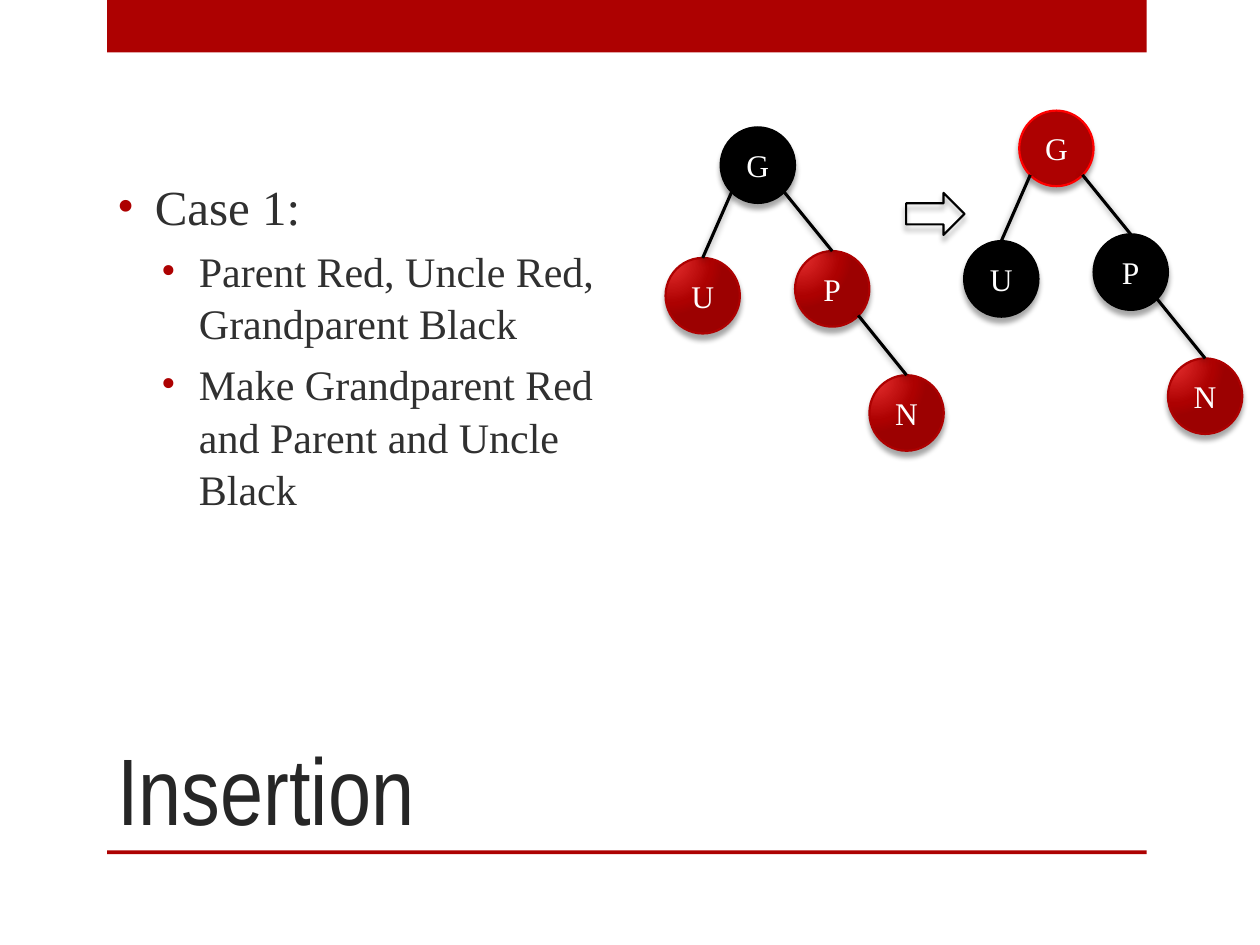
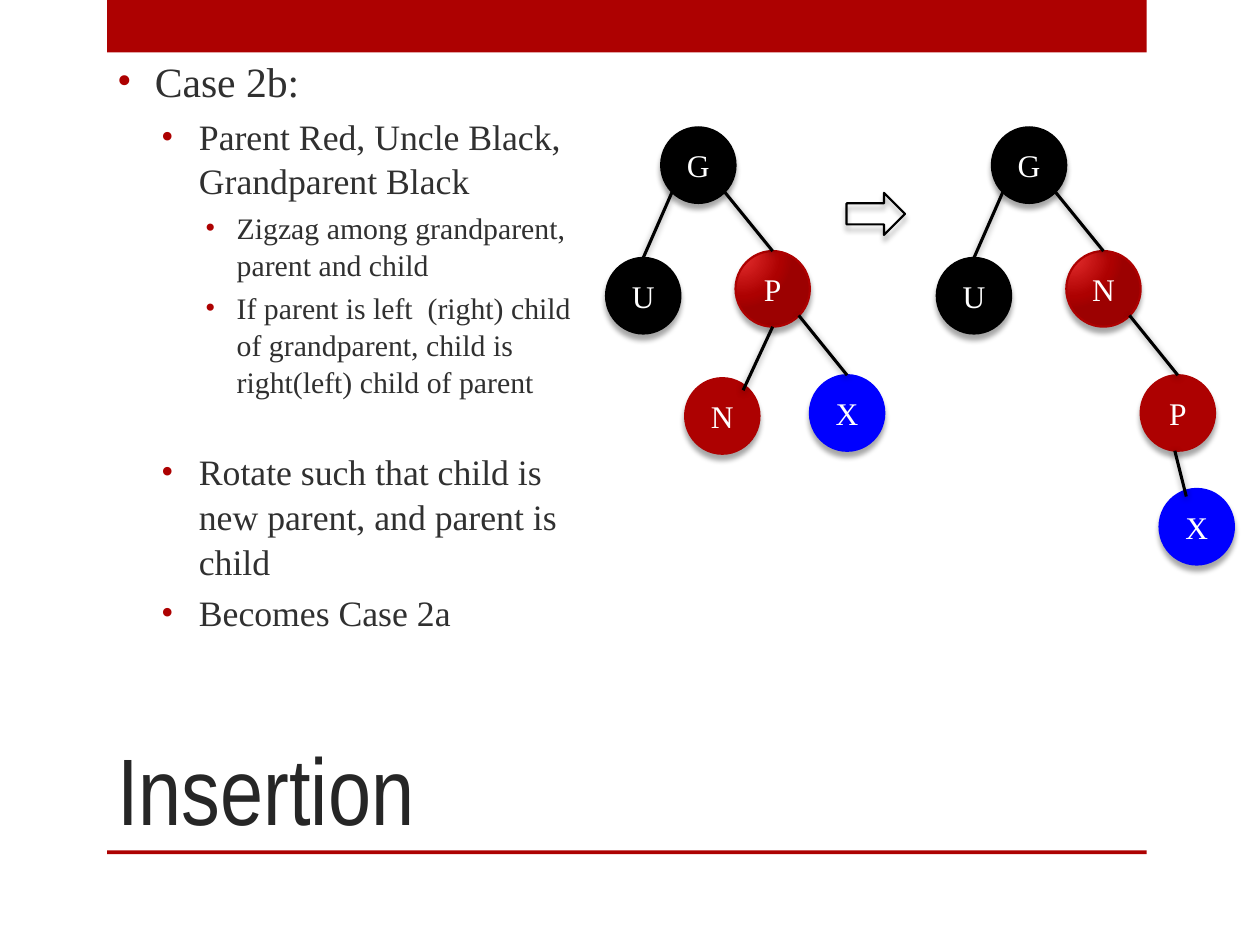
"""Build two slides on red-black tree insertion cases."""
from dataclasses import dataclass

from lxml import etree
from pptx import Presentation
from pptx import util as u
from pptx.dml.color import RGBColor
from pptx.enum import shapes, text
from pptx.oxml import ns


@dataclass(frozen=True)
class Theme:
    red: str = "AD0101"
    bright: str = "FF0000"
    black: str = "000000"
    blue: str = "0000FF"
    white: str = "FFFFFF"
    title: str = "262626"
    body: str = "303030"
    gloss: tuple = ((0, "E62F2F"), (76, "AD0101"), (100, "9C0101"))
    head_font: str = "Arial Narrow"
    body_font: str = "Times New Roman"
    title_size: float = 54
    node_size: float = 18
    node_line: float = 1.25
    edge_line: float = 1.75
    spacing: float = 1.04


T = Theme()
FILLS = {"glossy": (None, T.red), "red": (T.red, T.red), "bright": (T.red, T.bright),
         "black": (T.black, T.black), "blue": (T.blue, T.blue)}

NODE_W, NODE_H = 42.5, 43.2
BANDS = [(61.2, 0, 594, 30), (61.2, 486, 594, 2.16)]
TITLE_BOX = (59.8, 360, 534, 126)
BODY_BOX = (59.8, 48.2, 288, 296.6)
ARROW = (106, 37.4, 33.4, 24)
INDENTS = [(21.6, -21.6), (46.8, -21.6), (68.4, -18)]
NODE_SHADOW, EDGE_SHADOW = (35, 3, 3, 90), (40, 4, 1, 88)

PLACES = {"root": (0, 0), "left": (-31.5, 74.6), "right": (42.5, 70.7),
          "outer": (85, 141.6), "inner": (13.7, 143.3), "deep": (95.8, 206.6)}
EDGES = [("root", (.15, .85), "left", (.5, 0)), ("root", (.85, .85), "right", (.5, 0)),
         ("right", (.85, .85), "outer", (.5, 0)), ("right", (.5, 1), "inner", (.78, .16)),
         ("outer", (.46, 1), "deep", (.36, .1))]

SLIDES = [
    {"title": "Insertion", "sizes": (28, 24),
     "points": [(0, "Case 1:"),
                (1, "Parent Red, Uncle Red, Grandparent Black"),
                (1, "Make Grandparent Red and Parent and Uncle Black")],
     "trees": [((411.8, 72.8), {"right": ("P", "glossy"), "left": ("U", "glossy"),
                                "outer": ("N", "glossy"), "root": ("G", "black")}),
               ((582.4, 63.2), {"right": ("P", "black"), "left": ("U", "black"),
                                "outer": ("N", "glossy"), "root": ("G", "bright")})]},
    {"title": "Insertion", "sizes": (23.8, 20.4, 17),
     "points": [(0, "Case 2b:"),
                (1, "Parent Red, Uncle Black, Grandparent Black"),
                (2, "Zigzag among grandparent, parent and child"),
                (2, "If parent is left  (right) child of grandparent, "
                    "child is right(left) child of parent"),
                (1, "Rotate such that child is new parent, and parent is child", 28),
                (1, "Becomes Case 2a")],
     "trees": [((377.8, 72.8), {"right": ("P", "glossy"), "left": ("U", "black"),
                                "outer": ("X", "blue"), "root": ("G", "black"),
                                "inner": ("N", "red")}),
               ((566.8, 72.8), {"right": ("N", "glossy"), "left": ("U", "black"),
                                "outer": ("P", "red"), "root": ("G", "black"),
                                "deep": ("X", "blue")})]},
]


def pts(*values):
    return [u.Pt(v) for v in values]


def rgb(color):
    return RGBColor.from_string(color)


def sub(parent, tag, **attrs):
    return etree.SubElement(parent, ns.qn(tag), {k: str(v) for k, v in attrs.items()})


def write(p, words, size, color, font=T.body_font, align=text.PP_ALIGN.LEFT):
    p.alignment = align
    r = p.add_run()
    r.text = words
    r.font.size, r.font.name = u.Pt(size), font
    r.font.color.rgb = rgb(color)


def set_frame(tf, anchor):
    tf.word_wrap, tf.auto_size = True, text.MSO_AUTO_SIZE.NONE
    tf.vertical_anchor = anchor


def add_shadow(sp, alpha, blur, dist, angle):
    props = sp._element.spPr
    effects = props.find(ns.qn("a:effectLst"))
    if effects is None:
        effects = sub(props, "a:effectLst")
    shadow = sub(effects, "a:outerShdw", blurRad=u.Pt(blur), dist=u.Pt(dist),
                 dir=angle * 60000, rotWithShape=0)
    sub(sub(shadow, "a:srgbClr", val=T.black), "a:alpha", val=alpha * 1000)


def gloss(sp):
    sp.fill.background()
    props = sp._element.spPr
    grad = etree.Element(ns.qn("a:gradFill"), rotWithShape="1")
    stops = sub(grad, "a:gsLst")
    for pos, color in T.gloss:
        sub(sub(stops, "a:gs", pos=pos * 1000), "a:srgbClr", val=color)
    sub(sub(grad, "a:path", path="circle"), "a:fillToRect",
        l=15000, t=15000, r=100000, b=100000)
    props.replace(props.find(ns.qn("a:noFill")), grad)


def add_shape(s, kind, box, fill=None, line=None):
    sp = s.shapes.add_shape(kind, *pts(*box))
    sp.shadow.inherit = False
    if fill:
        sp.fill.solid()
        sp.fill.fore_color.rgb = rgb(fill)
    else:
        sp.fill.background()
    if line:
        sp.line.color.rgb, sp.line.width = rgb(line), u.Pt(T.node_line)
        add_shadow(sp, *NODE_SHADOW)
    else:
        sp.line.fill.background()
    return sp


def add_node(s, x, y, label, style):
    fill, line = FILLS[style]
    sp = add_shape(s, shapes.MSO_SHAPE.OVAL, (x, y, NODE_W, NODE_H), fill, line)
    if style == "glossy":
        gloss(sp)
    tf = sp.text_frame
    set_frame(tf, text.MSO_ANCHOR.MIDDLE)
    tf.margin_left = tf.margin_right = 0
    write(tf.paragraphs[0], label, T.node_size, T.white, align=text.PP_ALIGN.CENTER)


def add_tree(s, origin, nodes):
    spots = {k: (origin[0] + dx, origin[1] + dy) for k, (dx, dy) in PLACES.items()}
    for place, (label, style) in nodes.items():
        add_node(s, *spots[place], label, style)
    for parent, start, child, end in EDGES:
        if child in nodes:
            ends = [c for place, (fx, fy) in ((parent, start), (child, end))
                    for c in (spots[place][0] + fx * NODE_W, spots[place][1] + fy * NODE_H)]
            edge = s.shapes.add_connector(shapes.MSO_CONNECTOR.STRAIGHT, *pts(*ends))
            edge.line.color.rgb, edge.line.width = rgb(T.black), u.Pt(T.edge_line)
            add_shadow(edge, *EDGE_SHADOW)


def add_points(s, points, sizes):
    tf = s.shapes.add_textbox(*pts(*BODY_BOX)).text_frame
    set_frame(tf, text.MSO_ANCHOR.MIDDLE)
    for i, (level, words, *gap) in enumerate(points):
        p = tf.add_paragraph() if i else tf.paragraphs[0]
        size = sizes[level]
        write(p, words, size, T.body)
        p.level, p.line_spacing = level, T.spacing
        p.space_before = u.Pt(gap[0] if gap else round(size * .2, 1))
        props = p._p.get_or_add_pPr()
        for name, value in zip(("marL", "indent"), INDENTS[level]):
            props.set(name, str(u.Pt(value)))
        sub(sub(props, "a:buClr"), "a:srgbClr", val=T.red)
        sub(props, "a:buFont", typeface=T.body_font)
        sub(props, "a:buChar", char="•")


def add_title(s, words):
    sp = s.shapes.title
    sp.left, sp.top, sp.width, sp.height = pts(*TITLE_BOX)
    set_frame(sp.text_frame, text.MSO_ANCHOR.BOTTOM)
    write(sp.text_frame.paragraphs[0], words, T.title_size, T.title, T.head_font)


def main():
    prs = Presentation()
    prs.slide_width, prs.slide_height = pts(720, 540)
    for page in SLIDES:
        s = prs.slides.add_slide(prs.slide_layouts.get_by_name("Title Only"))
        for band in BANDS:
            add_shape(s, shapes.MSO_SHAPE.RECTANGLE, band, T.red)
        add_title(s, page["title"])
        add_points(s, page["points"], page["sizes"])
        for tree in page["trees"]:
            add_tree(s, *tree)
        x, y = page["trees"][0][0]
        dx, dy, w, h = ARROW
        add_shape(s, shapes.MSO_SHAPE.RIGHT_ARROW, (x + dx, y + dy, w, h), line=T.black)
    prs.save("out.pptx")


if __name__ == "__main__":
    main()
